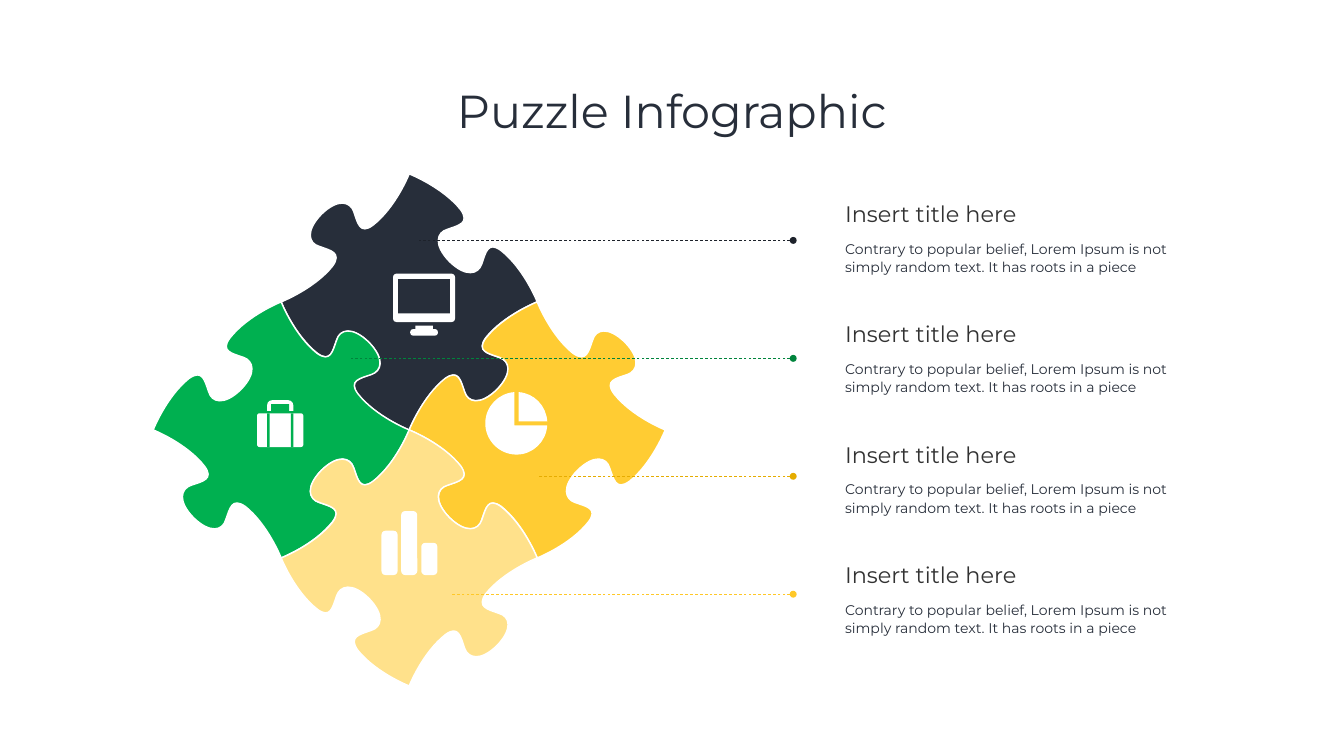
"""Build the puzzle infographic slide."""
from lxml import etree
from pptx import Presentation
from pptx.dml.color import RGBColor
from pptx.enum.dml import MSO_LINE
from pptx.enum.shapes import MSO_CONNECTOR, MSO_SHAPE
from pptx.enum.text import MSO_ANCHOR, MSO_AUTO_SIZE, PP_ALIGN
from pptx.oxml.ns import qn
from pptx.util import Inches, Pt

DASH = MSO_LINE.DASH
STRAIGHT = MSO_CONNECTOR.STRAIGHT
RECTANGLE = MSO_SHAPE.RECTANGLE
ROUNDED = MSO_SHAPE.ROUNDED_RECTANGLE
ROUNDED_TOP = MSO_SHAPE.ROUND_2_SAME_RECTANGLE
MIDDLE = MSO_ANCHOR.MIDDLE
GROW = MSO_AUTO_SIZE.SHAPE_TO_FIT_TEXT
CENTER = PP_ALIGN.CENTER

FONT = "Montserrat"
WHITE, DARK, GREEN, YELLOW, PALE = "FFFFFF", "272E3A", "00B050", "FFCC33", "FFE18B"
GRAY = "323232"

HALF = 2.54
CENTER_X, CENTER_Y = 8.12, 8.53
EDGE = [
    (0, 0), (0.66, 0.26), (1.02, 0.71),
    (1.21, 0.98), (0.98, 1.02), (0.76, 1.1),
    (0.54, 1.16), (0.48, 1.41), (0.8, 1.74),
    (1.13, 2.06), (1.37, 1.99), (1.44, 1.79),
    (1.52, 1.56), (1.56, 1.33), (1.82, 1.52),
    (2.28, 1.88), (HALF, HALF), (HALF, HALF),
]
SIDES = [(1, -1), (1, 1), (-1, 1), (-1, -1)]
PIECES = [(0, -1, DARK), (1, 0, YELLOW), (-1, 0, GREEN), (0, 1, PALE)]

LEADERS = [(8.31, "1D222B"), (6.97, "00843C"), (10.67, "E5AC00"), (8.93, "FFC828")]
HEADING = "Insert title here"
BODY = ("Contrary to popular belief, Lorem Ipsum is not simply random text. "
        "It has roots in a piece")

LARGE_SLICE = [
    (10.21, 7.78), (9.89, 7.8), (9.63, 8.07), (9.63, 8.4),
    (9.63, 8.74), (9.91, 9.02), (10.25, 9.02),
    (10.58, 9.02), (10.84, 8.76), (10.86, 8.44),
    (10.86, 8.44), (10.21, 8.44), (10.21, 8.44),
]
SMALL_SLICE = [
    (10.29, 7.78), (10.6, 7.8), (10.84, 8.05), (10.86, 8.36),
    (10.86, 8.36), (10.29, 8.36), (10.29, 8.36),
]
BARS = [(7.57, 10.53), (7.96, 10.14), (8.36, 10.77)]
BARS_BOTTOM = 11.41


def color(value):
    """Turn a hex string into a colour."""
    return RGBColor.from_string(value)


def paint(shape, fill, outline=None):
    """Give a shape a plain fill and an optional outline."""
    shape.shadow.inherit = False
    shape.fill.solid()
    shape.fill.fore_color.rgb = color(fill)
    if outline:
        shape.line.color.rgb = color(outline)
        shape.line.width = Pt(2)
    else:
        shape.line.fill.background()


def add_curve(shapes, points, fill, outline=None):
    """Draw a closed outline of cubic curves, three points to a curve."""
    (left, top), *rest = points
    builder = shapes.build_freeform(Inches(left), Inches(top))
    builder.add_line_segments([(Inches(x), Inches(y)) for x, y in rest])
    shape = builder.convert_to_shape()
    segments = list(shape._element.iter(qn("a:lnTo")))
    for first in range(0, len(rest), 3):
        curve = etree.Element(qn("a:cubicBezTo"))
        segments[first].addprevious(curve)
        for segment in segments[first:first + 3]:
            curve.append(segment[0])
            segment.getparent().remove(segment)
    paint(shape, fill, outline)


def add_block(shapes, kind, left, top, width, height, fill, radius=0):
    """Add a rectangle whose corners may be rounded."""
    shape = shapes.add_shape(kind, Inches(left), Inches(top), Inches(width), Inches(height))
    if radius:
        shape.adjustments[0] = radius / min(width, height)
    paint(shape, fill)


def add_piece(shapes, column, row, fill):
    """Add a puzzle piece; pieces beside the middle have mirrored edges."""
    x, y = CENTER_X + (column - 1) * HALF, CENTER_Y + row * HALF
    edge = [(b, a) for a, b in EDGE] if column else EDGE
    points = [(x, y)]
    for right, down in SIDES:
        points += [(x + right * a, y + down * b) for a, b in edge]
        x, y = x + right * HALF, y + down * HALF
    add_curve(shapes, points, fill, WHITE)


def add_leader(shapes, left, y, line_color):
    """Add a dashed line with a large dot at its right end."""
    line = shapes.add_connector(STRAIGHT, Inches(15.74), Inches(y), Inches(left), Inches(y))
    line.line.color.rgb = color(line_color)
    line.line.width = Pt(1)
    line.line.dash_style = DASH
    outline = line.line._get_or_add_ln()
    etree.SubElement(outline, qn("a:headEnd"), type="oval", w="lg", len="lg")
    etree.SubElement(outline.getparent(), qn("a:effectLst"))


def style(paragraph, size, text_color):
    """Format the runs of a paragraph."""
    for span in paragraph.runs:
        span.font.name = FONT
        span.font.size = Pt(size)
        span.font.color.rgb = color(text_color)


def add_text(shapes, top, width, height, text, size, text_color, wrap, spacing):
    """Add a text box in the right column."""
    box = shapes.add_textbox(Inches(16.67), Inches(top), Inches(width), Inches(height))
    frame = box.text_frame
    frame.text = text
    frame.word_wrap = wrap
    frame.auto_size = GROW
    frame.paragraphs[0].line_spacing = spacing
    style(frame.paragraphs[0], size, text_color)


def set_title(title, text):
    """Place and format the slide title."""
    title.left, title.top = Inches(1.83), Inches(0.8)
    title.width, title.height = Inches(23), Inches(2.9)
    frame = title.text_frame
    frame.text = text
    frame.vertical_anchor = MIDDLE
    paragraph = frame.paragraphs[0]
    paragraph.alignment = CENTER
    paragraph.line_spacing = 0.9
    style(paragraph, 66, DARK)


def add_suitcase(shapes):
    """Draw the suitcase icon."""
    add_block(shapes, ROUNDED_TOP, 5.3, 7.94, 0.52, 0.21, WHITE, 0.1)
    add_block(shapes, RECTANGLE, 5.38, 8.02, 0.36, 0.18, GREEN)
    add_block(shapes, ROUNDED, 5.1, 8.2, 0.92, 0.67, WHITE, 0.05)
    for left in (5.3, 5.77):
        add_block(shapes, RECTANGLE, left, 8.2, 0.05, 0.67, GREEN)


def add_monitor(shapes):
    """Draw the monitor icon."""
    add_block(shapes, ROUNDED, 7.8, 5.43, 1.23, 0.96, WHITE, 0.07)
    add_block(shapes, RECTANGLE, 7.9, 5.54, 1.03, 0.68, DARK)
    add_block(shapes, RECTANGLE, 8.24, 6.46, 0.35, 0.09, WHITE)
    add_block(shapes, ROUNDED, 8.14, 6.53, 0.55, 0.13, WHITE, 0.06)


def add_pie(shapes):
    """Draw the pie icon."""
    for slice_points in (LARGE_SLICE, SMALL_SLICE):
        add_curve(shapes, slice_points, WHITE)


def add_bars(shapes):
    """Draw the bars icon."""
    for left, top in BARS:
        add_block(shapes, ROUNDED, left, top, 0.32, BARS_BOTTOM - top, WHITE, 0.08)


def main():
    """Build and save the deck."""
    deck = Presentation()
    deck.slide_width, deck.slide_height = Inches(26.67), Inches(15)
    page = deck.slides.add_slide(deck.slide_layouts[5])
    shapes = page.shapes
    set_title(shapes.title, "Puzzle Infographic")
    for column, row, fill in PIECES:
        add_piece(shapes, column, row, fill)
    for index, (left, line_color) in enumerate(LEADERS):
        add_leader(shapes, left, 4.77 + index * 2.34, line_color)
        top = 3.92 + index * 2.39
        add_text(shapes, top, 3.63, 0.64, HEADING, 32, GRAY, False, 1.0)
        add_text(shapes, top + 0.76, 7.26, 0.81, BODY, 20, DARK, True, 1.1)
    for add_icon in (add_suitcase, add_monitor, add_pie, add_bars):
        add_icon(shapes.add_group_shape().shapes)
    deck.save("out.pptx")


if __name__ == "__main__":
    main()
